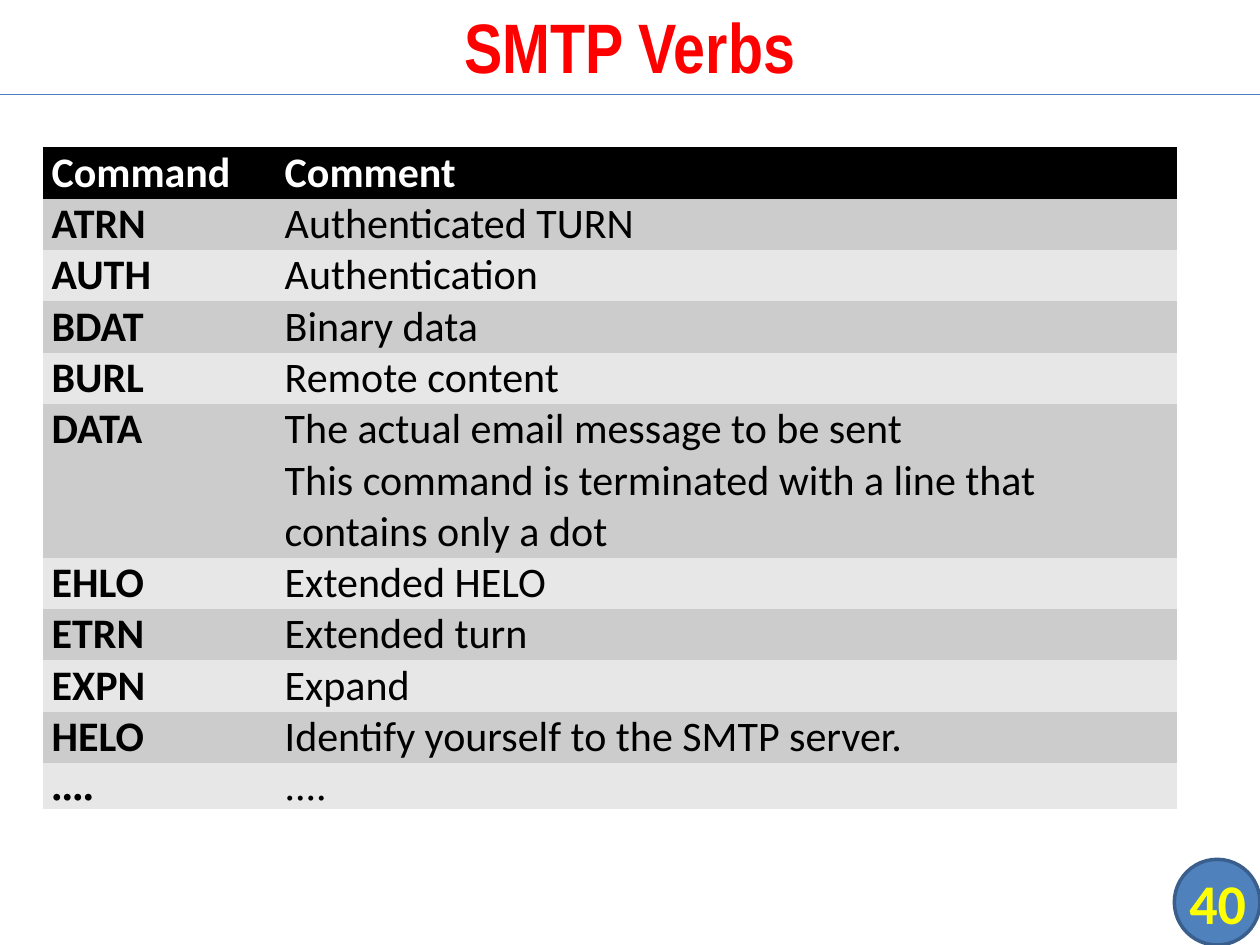
"""Build the SMTP Verbs slide with its command table."""
from pptx import Presentation
from pptx.dml.color import RGBColor
from pptx.enum.shapes import MSO_CONNECTOR, MSO_SHAPE
from pptx.enum.text import MSO_ANCHOR, PP_ALIGN
from pptx.oxml.ns import qn
from pptx.oxml.xmlchemy import OxmlElement
from pptx.util import Inches, Pt

WHITE = RGBColor(0xFF, 0xFF, 0xFF)
BLACK = RGBColor(0x00, 0x00, 0x00)
RED = RGBColor(0xFF, 0x00, 0x00)
YELLOW = RGBColor(0xFF, 0xFF, 0x00)
BLUE = RGBColor(0x4F, 0x81, 0xBD)
DARK_BLUE = RGBColor(0x3A, 0x5F, 0x8C)
RULE_BLUE = RGBColor(0x4B, 0x7E, 0xBC)
BAND_DARK = RGBColor(0xCC, 0xCC, 0xCC)
BAND_LIGHT = RGBColor(0xE7, 0xE7, 0xE7)
NO_STYLE_NO_GRID = "{2D5ABB26-0587-4C30-8999-92F81FD0307C}"

VERBS = [
    ("Command", "Comment"),
    ("ATRN", "Authenticated TURN"),
    ("AUTH", "Authentication"),
    ("BDAT", "Binary data"),
    ("BURL", "Remote content"),
    ("DATA", "The actual email message to be sent\n"
             "This command is terminated with a line that contains only a dot"),
    ("EHLO", "Extended HELO"),
    ("ETRN", "Extended turn"),
    ("EXPN", "Expand"),
    ("HELO", "Identify yourself to the SMTP server."),
    ("....", "...."),
]


def add_run(paragraph, text, size, font, color, bold=True):
    run = paragraph.add_run()
    run.text = text
    run.font.size = Pt(size)
    run.font.name = font
    run.font.color.rgb = color
    run.font.bold = bold


def add_centred_text(left, top, width, height, text, size, font, color):
    box = slide.shapes.add_textbox(Inches(left), Inches(top), Inches(width), Inches(height))
    frame = box.text_frame
    frame.word_wrap = True
    frame.vertical_anchor = MSO_ANCHOR.MIDDLE
    frame.margin_left = frame.margin_right = frame.margin_top = frame.margin_bottom = 0
    frame.paragraphs[0].alignment = PP_ALIGN.CENTER
    add_run(frame.paragraphs[0], text, size, font, color)


prs = Presentation()
prs.slide_width, prs.slide_height = Inches(10), Inches(7.5)
slide = prs.slides.add_slide(prs.slide_layouts[6])

badge = slide.shapes.add_shape(
    MSO_SHAPE.FLOWCHART_CONNECTOR, Inches(9.32), Inches(6.82), Inches(0.68), Inches(0.68))
badge.shadow.inherit = False
badge.fill.solid()
badge.fill.fore_color.rgb = BLUE
badge.line.color.rgb = DARK_BLUE
badge.line.width = Pt(2)

title_rule = slide.shapes.add_connector(
    MSO_CONNECTOR.STRAIGHT, 0, Inches(0.75), Inches(10), Inches(0.75))
title_rule.line.color.rgb = RULE_BLUE
title_rule.line.width = Pt(0.75)
title_rule.element.spPr.append(OxmlElement("a:effectLst"))

verb_frame = slide.shapes.add_table(
    len(VERBS), 2, Inches(0.34), Inches(1.17), Inches(9), Inches(5.2))
for style_id in verb_frame.element.iter(qn("a:tableStyleId")):
    style_id.text = NO_STYLE_NO_GRID
verb_table = verb_frame.table
verb_table.columns[0].width = Inches(1.85)
verb_table.columns[1].width = Inches(7.15)

for row, entry in enumerate(VERBS):
    is_header = row == 0
    is_last = row == len(VERBS) - 1
    band = BLACK if is_header else BAND_DARK if row % 2 else BAND_LIGHT
    height = 1.2 if "\n" in entry[1] else 0.37 if is_last else 0.4
    verb_table.rows[row].height = Inches(height)
    for col, text in enumerate(entry):
        cell = verb_table.cell(row, col)
        cell.fill.solid()
        cell.fill.fore_color.rgb = band
        cell.margin_left = cell.margin_right = Inches(0.07)
        cell.margin_top = cell.margin_bottom = 0
        paragraph = cell.text_frame.paragraphs[0]
        paragraph.space_before = paragraph.space_after = Pt(3)
        for index, line in enumerate(text.split("\n")):
            if index:
                paragraph.add_line_break()
            add_run(paragraph, line, 24, "Times New Roman" if is_last else "Calibri",
                    WHITE if is_header else BLACK, is_header or col == 0)

add_centred_text(0, -0.03, 10, 0.78, "SMTP Verbs", 40, "Arial Narrow", RED)
add_centred_text(9.33, 6.82, 0.67, 0.68, "40", 32, "Calibri", YELLOW)

prs.save("out.pptx")
